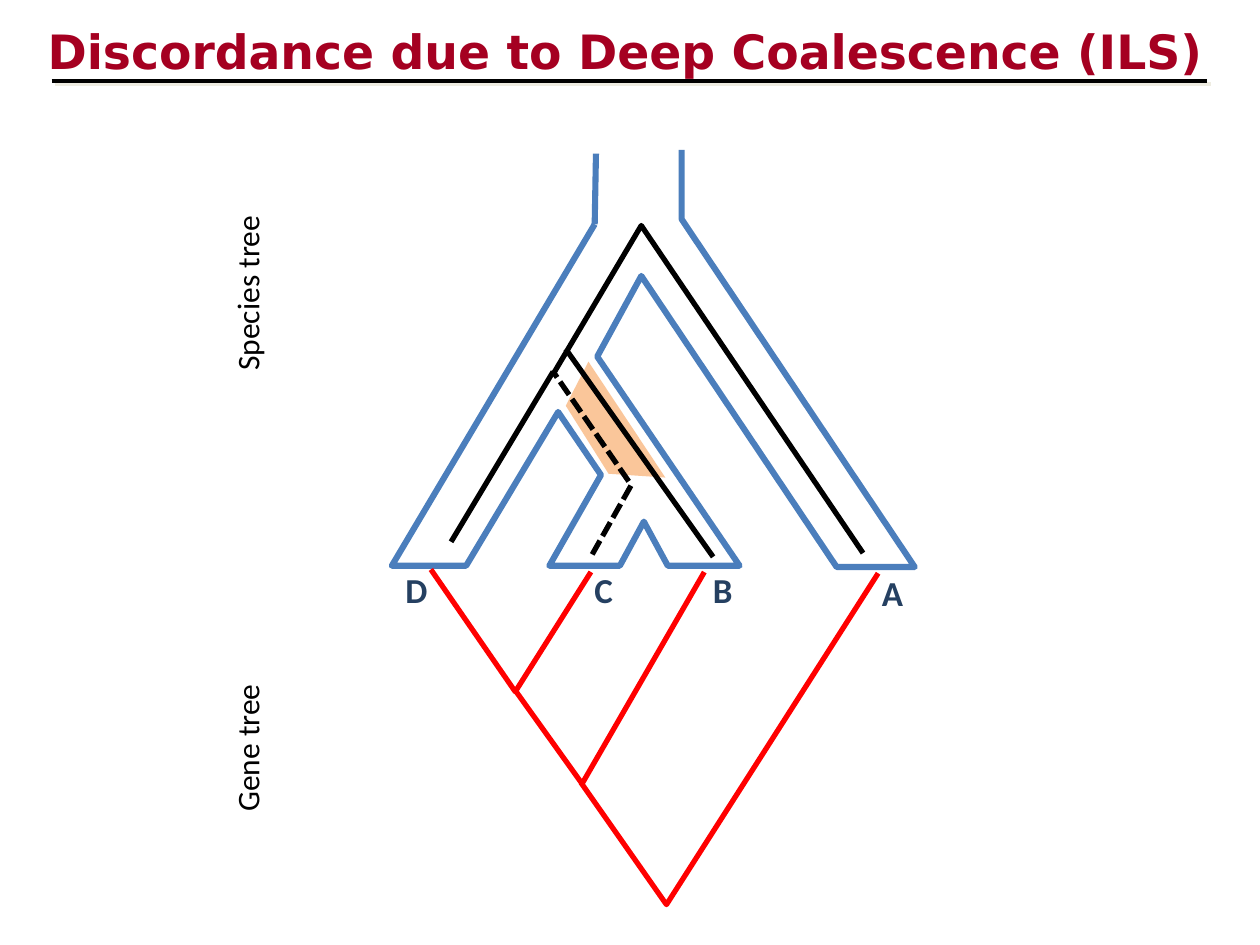
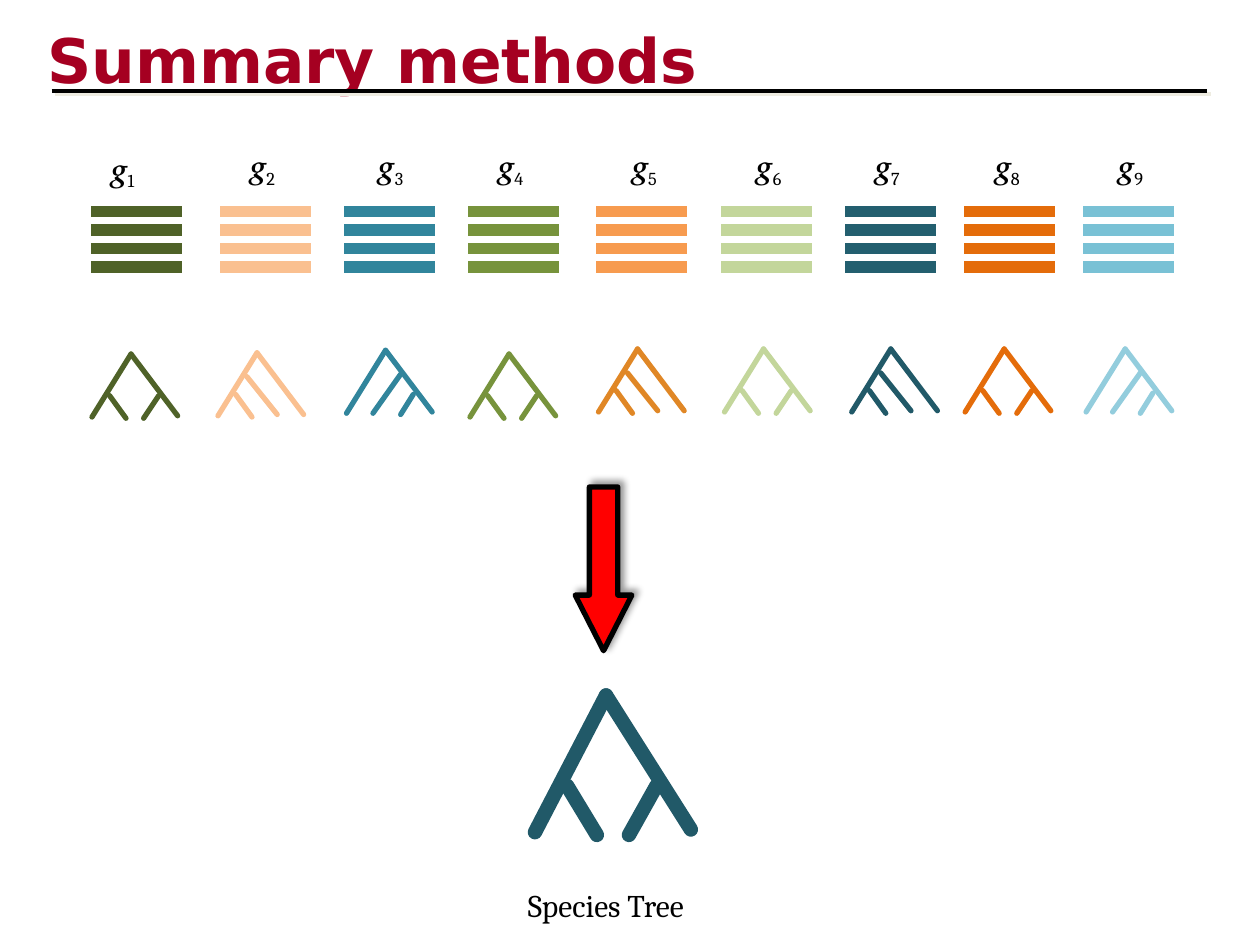
import lxml.etree
import pptx
import pptx.dml.color
import pptx.enum.dml
import pptx.enum.shapes
import pptx.oxml.ns
import pptx.util

tint = pptx.dml.color.RGBColor.from_string
qn = pptx.oxml.ns.qn
sub = lxml.etree.SubElement
KIND = pptx.enum.shapes.MSO_SHAPE
LINK = pptx.enum.shapes.MSO_CONNECTOR.STRAIGHT
DASH = pptx.enum.dml.MSO_LINE.SQUARE_DOT

# The grid has 100 columns and 75 rows of square cells.
CELL = pptx.util.Inches(0.1)
BLACK, WHITE, RED = "000000", "FFFFFF", "FF0000"
BLUE, NAVY, TEAL, WINE = "4B7EBC", "254061", "215968", "A50021"
PEACH, CREAM = "FAC090", "EEECE1"
SOFT = (CREAM, 100, 0, 2.8, 45)  # hue, opacity, blur, distance, angle
shades = []  # (node that the effect list follows, shadow)

deck = pptx.Presentation()
deck.slide_width, deck.slide_height = 100 * CELL, 75 * CELL
blank = deck.slide_layouts[6]


def trace(slide, points, hue, width=0, cap="flat"):
    """Draw a line through the points, or a filled outline if width is 0."""
    spots = [(round(x * CELL), round(y * CELL)) for x, y in points]
    if len(spots) == 2:
        shape = slide.shapes.add_connector(LINK, *spots[0], *spots[1])
    else:
        pen = slide.shapes.build_freeform(*spots[0], scale=1.0)
        pen.add_line_segments(spots[1:], close=not width)
        shape = pen.convert_to_shape()
        shape.fill.background()
    if width:
        shape.line.color.rgb = tint(hue)
        shape.line.width = pptx.util.Pt(width)
        edge = shape.line._get_or_add_ln()
        edge.set("cap", cap)
        sub(edge, qn("a:round"))
    else:
        shape.fill.solid()
        shape.fill.fore_color.rgb = tint(hue)
        shape.line.fill.background()
    sub(shape._element.spPr, qn("a:effectLst"))
    return shape


def write(slide, box, runs, turn=0):
    """Add a text box; each run is text, hue, size and font values."""
    shape = slide.shapes.add_textbox(*(round(v * CELL) for v in box))
    shape.rotation = turn
    shape.text_frame.word_wrap = True
    for text, hue, size, style in runs:
        run = shape.text_frame.paragraphs[0].add_run()
        run.text = text
        run.font.color.rgb = tint(hue)
        run.font.size = pptx.util.Pt(size)
        for key, value in style.items():
            setattr(run.font, key, value)
    return shape


# Shared title and rule
BOLD = {"name": "DejaVu Sans", "bold": True}
slides = []
for title, size, row in [
    ("Discordance due to Deep Coalescence (ILS)", 27, 6.4),
    ("Summary methods", 35.1, 7.2),
]:
    slide = deck.slides.add_slide(blank)
    slides.append(slide)
    head = write(slide, (2.8, 0.9, 95.3, 6.7), [(title, WINE, size, BOLD)])
    head.text_frame.margin_top = round(0.85 * CELL)
    props = head.text_frame.paragraphs[0].runs[0]._r.rPr
    shades.append((props.find(qn("a:solidFill")), SOFT))
    rule = trace(slide, [(4.1, row), (95.8, row)], BLACK, 2.25)
    shades.append((rule._element.spPr.find(qn("a:ln")), SOFT))
first, second = slides

# Slide 1: species tree above, gene tree below
zone = trace(first, [(46.7, 28.7), (44.9, 32.2), (48.3, 37.6), (52.8, 37.9)], PEACH)
hue = zone._element.spPr.find(".//" + qn("a:srgbClr"))
sub(hue, qn("a:alpha")).set("val", "90000")

outer = [
    (47.2, 17.8), (31.1, 44.9), (37, 44.9), (44.3, 32.7), (47.7, 37.7),
    (43.6, 44.9), (49.2, 44.9), (51.1, 41.4), (53, 44.9), (58.7, 44.9),
    (47.4, 28.3), (50.9, 21.9), (66.4, 45), (72.6, 45), (54.1, 17.4),
    (54.1, 11.9),
]
for points, hue, width in [
    (outer, BLUE, 3.5),
    ([(47.2, 17.8), (47.3, 12.2)], BLUE, 3.5),
    ([(34.2, 45.2), (40.9, 54.9), (46.9, 45.4)], RED, 3),
    ([(40.9, 54.8), (46.2, 62.2), (55.9, 45.4)], RED, 3),
    ([(46.1, 62.1), (52.9, 71.8), (69.7, 45.5)], RED, 3),
    ([(44.9, 27.7), (56.6, 44.2)], BLACK, 3),
    ([(43.9, 29.5), (35.8, 43)], BLACK, 3),
    ([(43.9, 29.7), (50.9, 17.9), (68.5, 43.9)], BLACK, 3),
]:
    trace(first, points, hue, width)
lost = trace(first, [(47, 44), (50.1, 38.5), (43.9, 29.5)], BLACK, 3)
lost.line.dash_style = DASH

LEAF = {"name": "Calibri", "bold": True}
for name, col, row in [("D", 31.2, 44.6), ("C", 46.2, 44.6), ("B", 55.6, 44.6), ("A", 69, 44.9)]:
    write(first, (col, row, 3.4, 4.4), [(name, NAVY, 20, LEAF)])
for text, row in [("Species tree", 20.8), ("Gene tree", 55.8)]:
    write(first, (12, row, 15.2, 4), [(text, BLACK, 18, {"name": "Calibri"})], 270)

# Slide 2: branches of each tree shape, measured from its apex
sides = [((-3.1, 5), (0, 0)), ((0, 0), (3.7, 4.9))]
low = ((-1.7, 3.3), (-0.4, 5.1))
TREES = {
    "even": sides + [low, ((2.2, 3.3), (1, 5.1))],
    "left": sides + [low, ((-0.8, 1.9), (1.6, 4.9))],
    "right": sides + [((1.2, 1.9), (-1, 5)), ((2.2, 3.5), (1.2, 5.1))],
}
# bar column, label column, bar hue, tree hue, tree shape, apex
genes = [
    (7.1, 7.9, "4F6228", "4F6228", "even", 10.4, 28.1),
    (17.3, 18.9, PEACH, PEACH, "left", 20.4, 28),
    (27.2, 29.1, "31859C", "31859C", "right", 30.6, 27.8),
    (37, 38.6, "77933C", "77933C", "even", 40.4, 28.1),
    (47.2, 49.2, "F79B4F", "E08726", "left", 50.6, 27.7),
    (57.1, 59.1, "C3D69B", "C3D69B", "even", 60.6, 27.7),
    (66.9, 68.5, "235F6F", TEAL, "left", 70.7, 27.7),
    (76.4, 78, "E46C0A", "E46C0A", "even", 79.7, 27.7),
    (85.8, 87.8, "79C1D5", "93CDDD", "right", 89.3, 27.7),
]
GENE = {"name": "TeX Gyre Pagella", "bold": True, "italic": True}
blocks = []
plants = [(TEAL, "even", 48.1, 55.2, 1.82, 2.17, 8.25)]
for num, (left, label, fill, hue, form, x, y) in enumerate(genes, 1):
    blocks += [
        (KIND.RECTANGLE, (left, 16.2 + 4.4 / 3 * i, 7.5, 1.2), fill, WHITE, 2)
        for i in range(4)
    ]
    plants.append((hue, form, x, y, 1, 1, 3))
    runs = [("g", BLACK, 18, GENE), (str(num), BLACK, 18, {"name": "Cambria"})]
    mark = write(second, (label, 11.3 if num == 1 else 11.1, 4.7, 4), runs)
    mark.text_frame.paragraphs[0].runs[1]._r.rPr.set("baseline", "-25000")

for hue, form, x, y, wide, tall, width in plants:
    for branch in TREES[form]:
        points = [(x + a * wide, y + b * tall) for a, b in branch]
        trace(second, points, hue, width, "rnd")

blocks.append((KIND.RIGHT_ARROW, (41.4, 42.9, 13, 4.5), RED, BLACK, 3))
for kind, box, fill, hue, width in blocks:
    shape = second.shapes.add_shape(kind, *(round(v * CELL) for v in box))
    shape.shadow.inherit = False
    shape.fill.solid()
    shape.fill.fore_color.rgb = tint(fill)
    shape.line.color.rgb = tint(hue)
    shape.line.width = pptx.util.Pt(width)
arrow = shape
arrow.rotation = 90
arrow.adjustments[0], arrow.adjustments[1] = 0.5, 0.98
shades.append((arrow._element.spPr.find(qn("a:ln")), (BLACK, 40, 4, 3, 315)))
write(second, (40.9, 69.8, 20.1, 4), [("Species Tree", BLACK, 18, {"name": "Cambria"})])

for node, (hue, alpha, blur, gap, angle) in shades:
    for old in node.getparent().findall(qn("a:effectLst")):
        node.getparent().remove(old)
    effect = lxml.etree.Element(qn("a:effectLst"))
    node.addnext(effect)
    cast = sub(effect, qn("a:outerShdw"))
    for key, value in {
        "blurRad": pptx.util.Pt(blur),
        "dist": pptx.util.Pt(gap),
        "dir": angle * 60000,
        "rotWithShape": 0,
    }.items():
        cast.set(key, str(int(value)))
    color = sub(cast, qn("a:srgbClr"))
    color.set("val", hue)
    sub(color, qn("a:alpha")).set("val", str(alpha * 1000))

deck.save("out.pptx")
